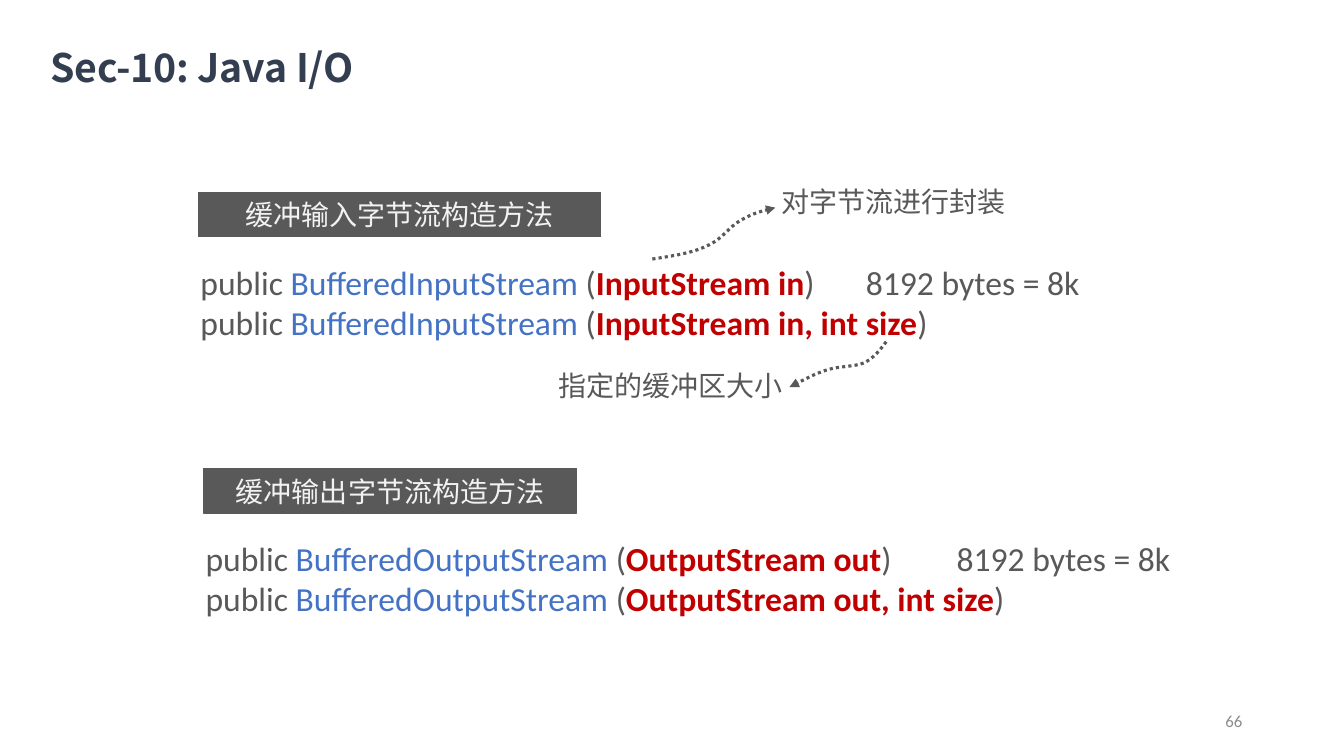
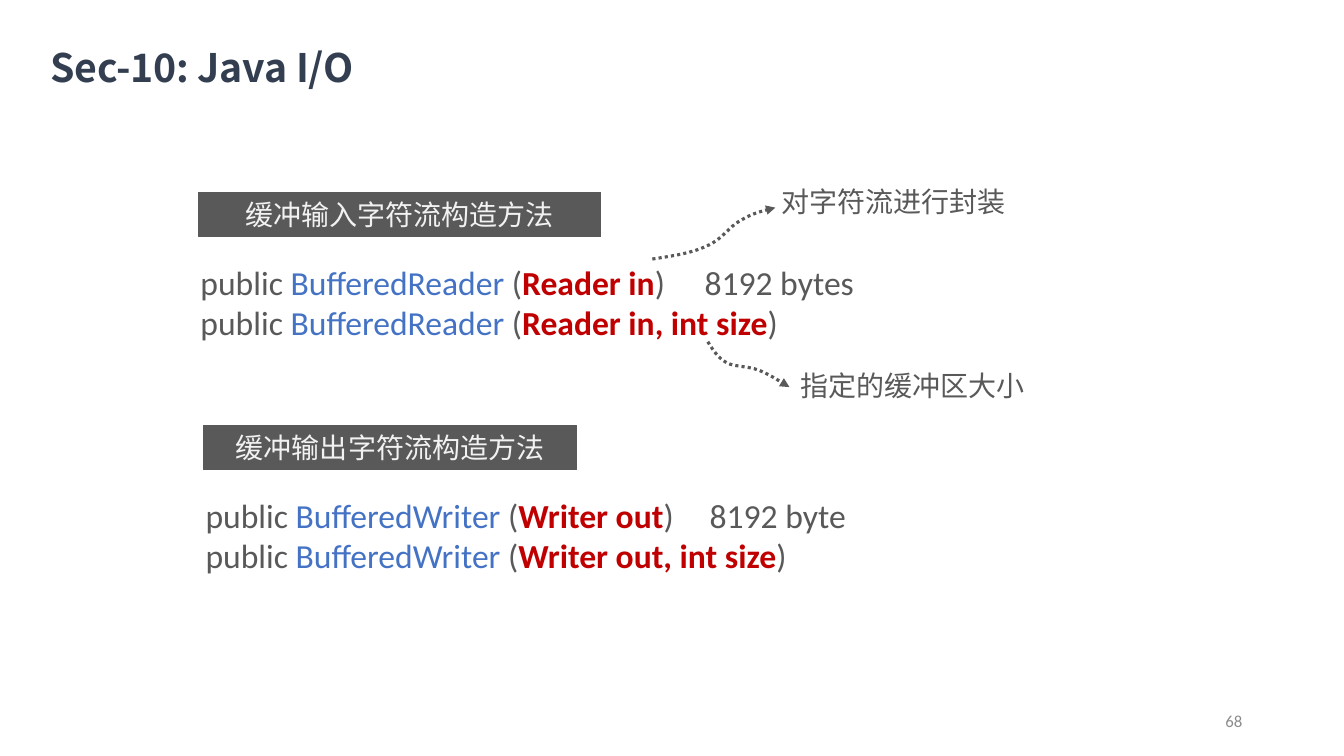
from dataclasses import dataclass
from typing import NamedTuple

from lxml.etree import SubElement
from pptx import Presentation
from pptx.dml.color import RGBColor
from pptx.enum.dml import MSO_LINE
from pptx.enum.shapes import MSO_SHAPE
from pptx.enum.text import MSO_ANCHOR, MSO_AUTO_SIZE, PP_ALIGN
from pptx.oxml.ns import qn
from pptx.util import Emu, Pt

EMU_PER_PX = 9144
TITLE = "Sec-10: Java I/O"
LATIN_FONT = "Calibri"
CHINESE_FONT = "Noto Sans CJK SC"
GRAY = "595959"
LIGHT = "F2F2F2"
BLUE = "4472C4"
RED = "C00000"
TITLE_COLOR = "333F50"
NUMBER_COLOR = "8C8C8C"
CODE_DROP = 63
CODE_OUTDENT = 8
SIZE_CURVE_WIDTH = 96
SIZE_CURVE_TOP = 339
SIZE_CURVE_END = 783


class Point(NamedTuple):
    x: int
    y: int


class Box(NamedTuple):
    left: int
    top: int
    width: int
    height: int


WRAP_CURVE = [
    Point(647, 257),
    Point(667, 254), Point(687, 251), Point(701, 244),
    Point(716, 238), Point(723, 225), Point(734, 219),
    Point(746, 212), Point(757, 209), Point(769, 206),
]
SIZE_CURVE = [
    Point(0, 0),
    Point(6, 8), Point(12, 16), Point(22, 21),
    Point(32, 25), Point(46, 24), Point(59, 28),
    Point(71, 32), Point(84, 39), Point(96, 45),
]


@dataclass
class Constructors:
    heading: str
    heading_box: Box
    class_name: str
    parameter: str
    default_size: str
    tab_stop: int


@dataclass
class Callout:
    text: str
    box: Box
    align: PP_ALIGN = PP_ALIGN.LEFT


@dataclass
class StreamSlide:
    number: str
    blocks: list[Constructors]
    callouts: list[Callout]
    size_curve_start: int


SLIDES = [
    StreamSlide(
        "66",
        [
            Constructors("缓冲输入字节流构造方法", Box(197, 191, 399, 44),
                         "BufferedInputStream", "InputStream in", "8192 bytes = 8k", 660),
            Constructors("缓冲输出字节流构造方法", Box(202, 465, 370, 44),
                         "BufferedOutputStream", "OutputStream out", "8192 bytes = 8k", 745),
        ],
        [
            Callout("对字节流进行封装", Box(765, 178, 303, 44)),
            Callout("指定的缓冲区大小", Box(407, 360, 379, 44), PP_ALIGN.RIGHT),
        ],
        879,
    ),
    StreamSlide(
        "68",
        [
            Constructors("缓冲输入字符流构造方法", Box(197, 191, 399, 44),
                         "BufferedReader", "Reader in", "8192 bytes", 500),
            Constructors("缓冲输出字符流构造方法", Box(202, 422, 370, 44),
                         "BufferedWriter", "Writer out", "8192 byte", 500),
        ],
        [
            Callout("对字符流进行封装", Box(765, 178, 303, 44)),
            Callout("指定的缓冲区大小", Box(784, 360, 379, 44)),
        ],
        702,
    ),
]


def px(length: int) -> Emu:
    return Emu(length * EMU_PER_PX)


def color(value: str) -> RGBColor:
    return RGBColor.from_string(value)


def add_run(paragraph, text: str, size: int, font: str, hue: str, bold: bool = False):
    run = paragraph.add_run()
    run.text = text
    run.font.size = Pt(size)
    run.font.bold = bold
    run.font.color.rgb = color(hue)
    run.font.name = font
    SubElement(run.font._element, qn("a:ea"), typeface=font)
    return run


def prepare_frame(shape, side_margin: int = 10):
    frame = shape.text_frame
    frame.word_wrap = True
    frame.auto_size = MSO_AUTO_SIZE.NONE
    frame.vertical_anchor = MSO_ANCHOR.MIDDLE
    frame.margin_left = frame.margin_right = px(side_margin)
    frame.margin_top = frame.margin_bottom = 0
    return frame


def add_text_box(slide, box: Box):
    return prepare_frame(slide.shapes.add_textbox(*map(px, box)))


def add_label(slide, box: Box, text: str, size: int, font: str, hue: str, align: PP_ALIGN) -> None:
    paragraph = add_text_box(slide, box).paragraphs[0]
    paragraph.alignment = align
    add_run(paragraph, text, size, font, hue)


def add_title(slide) -> None:
    title = slide.shapes.title
    title.left, title.top, title.width, title.height = map(px, Box(50, 36, 648, 60))
    paragraph = prepare_frame(title, 0).paragraphs[0]
    paragraph.alignment = PP_ALIGN.LEFT
    run = add_run(paragraph, TITLE, 28, CHINESE_FONT, TITLE_COLOR, True)
    run.font._element.set("spc", "-10")


def add_heading(slide, block: Constructors) -> None:
    shape = slide.shapes.add_shape(MSO_SHAPE.RECTANGLE, *map(px, block.heading_box))
    shape.shadow.inherit = False
    shape.fill.solid()
    shape.fill.fore_color.rgb = color(GRAY)
    shape.line.color.rgb = color(GRAY)
    shape.line.width = Pt(0.75)
    paragraph = prepare_frame(shape).paragraphs[0]
    paragraph.alignment = PP_ALIGN.CENTER
    add_run(paragraph, block.heading, 20, CHINESE_FONT, LIGHT)


def add_signatures(slide, block: Constructors) -> None:
    heading = block.heading_box
    frame = add_text_box(
        slide, Box(heading.left - CODE_OUTDENT, heading.top + CODE_DROP, 1016, 91))
    default, sized = frame.paragraphs[0], frame.add_paragraph()
    tabs = SubElement(default._p.get_or_add_pPr(), qn("a:tabLst"))
    SubElement(tabs, qn("a:tab"), pos=str(px(block.tab_stop)), algn="l")
    for paragraph, parameters, ending in (
        (default, block.parameter, f")\t{block.default_size}"),
        (sized, f"{block.parameter}, int size", ")"),
    ):
        add_run(paragraph, "public ", 24, LATIN_FONT, GRAY)
        add_run(paragraph, f"{block.class_name} ", 24, LATIN_FONT, BLUE)
        add_run(paragraph, "(", 24, LATIN_FONT, GRAY)
        add_run(paragraph, parameters, 24, LATIN_FONT, RED, True)
        add_run(paragraph, ending, 24, LATIN_FONT, GRAY)


def add_curved_arrow(slide, points: list[Point]) -> None:
    builder = slide.shapes.build_freeform(*points[0], scale=EMU_PER_PX)
    builder.add_line_segments(points[1:], close=False)
    shape = builder.convert_to_shape()
    outline = shape._element.find(".//" + qn("a:path"))
    segments = outline.findall(qn("a:lnTo"))
    for first in range(0, len(segments), 3):
        curve = SubElement(outline, qn("a:cubicBezTo"))
        for segment in segments[first:first + 3]:
            curve.append(segment[0])
            outline.remove(segment)
    shape.shadow.inherit = False
    shape.fill.background()
    shape.line.color.rgb = color(GRAY)
    shape.line.width = Pt(2.25)
    shape.line.dash_style = MSO_LINE.ROUND_DOT
    SubElement(shape.line._get_or_add_ln(), qn("a:tailEnd"), type="triangle")


def size_curve(start: int) -> list[Point]:
    stretch = (SIZE_CURVE_END - start) / SIZE_CURVE_WIDTH
    return [Point(round(start + point.x * stretch), SIZE_CURVE_TOP + point.y)
            for point in SIZE_CURVE]


def add_stream_slide(presentation, content: StreamSlide) -> None:
    slide = presentation.slides.add_slide(presentation.slide_layouts[5])
    add_title(slide)
    add_label(slide, Box(942, 695, 300, 40), content.number, 12,
              LATIN_FONT, NUMBER_COLOR, PP_ALIGN.RIGHT)
    for block in content.blocks:
        add_signatures(slide, block)
        add_heading(slide, block)
    for points in (WRAP_CURVE, size_curve(content.size_curve_start)):
        add_curved_arrow(slide, points)
    for callout in content.callouts:
        add_label(slide, callout.box, callout.text, 20, CHINESE_FONT, GRAY, callout.align)


def main() -> None:
    presentation = Presentation()
    presentation.slide_width = px(1333)
    presentation.slide_height = px(750)
    for content in SLIDES:
        add_stream_slide(presentation, content)
    presentation.save("out.pptx")


if __name__ == "__main__":
    main()
